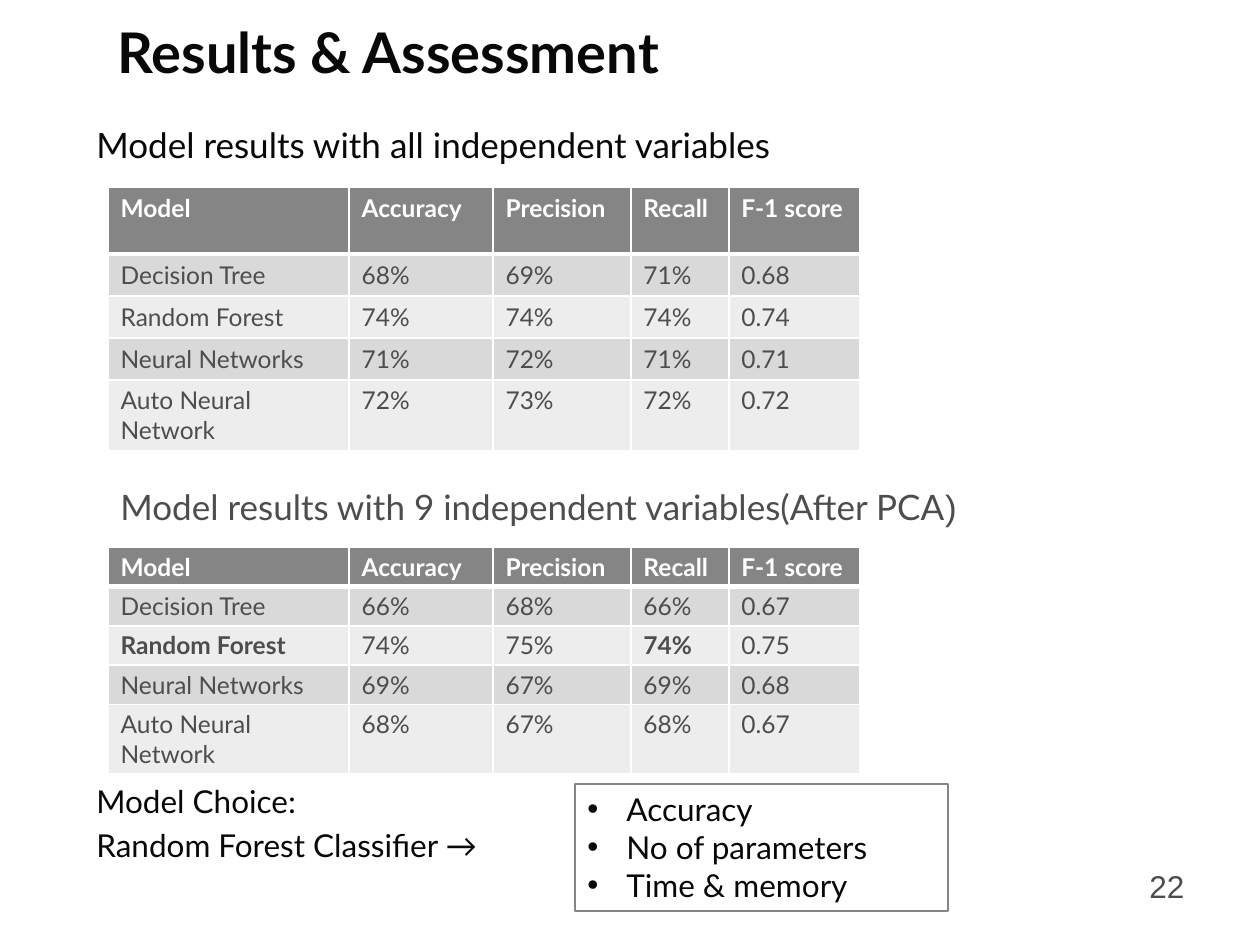
from dataclasses import dataclass
from typing import Optional

from lxml.etree import SubElement
from pptx import Presentation
from pptx.dml.color import RGBColor
from pptx.enum.shapes import MSO_SHAPE
from pptx.enum.text import MSO_ANCHOR, PP_ALIGN
from pptx.oxml.ns import qn
from pptx.util import Emu, Pt

PX_PER_INCH = 126
COLORS = {
    "ink": "080808",
    "body": "4D4D4D",
    "white": "FFFFFF",
    "header": "858585",
    "band_dark": "D9D9D9",
    "band_light": "EDEDED",
}
COLUMNS = (241, 144, 138, 98, 131)
HEADERS = ("Model", "Accuracy", "Precision", "Recall", "F-1 score")


@dataclass(frozen=True)
class Frame:
    left: int
    top: int
    width: int
    height: int


@dataclass(frozen=True)
class Span:
    text: str
    size: int
    color: str = "ink"
    font: str = "Lato"
    bold: bool = False


@dataclass(frozen=True)
class Label:
    frame: Frame
    lines: tuple[tuple[Span, ...], ...]
    anchor: MSO_ANCHOR = MSO_ANCHOR.TOP
    space_before: float = 0


@dataclass(frozen=True)
class ResultTable:
    top: int
    row_heights: tuple[int, ...]
    margin: int
    rows: tuple[tuple[str, ...], ...]
    bold_cells: tuple[tuple[int, int], ...] = ()


LABELS = (
    Label(Frame(105, 16, 1052, 71),
          ((Span("Results & Assessment", 32, bold=True),),), MSO_ANCHOR.MIDDLE),
    Label(Frame(84, 117, 804, 55),
          ((Span("Model results with all independent variables", 20),),)),
    Label(Frame(108, 479, 885, 55),
          ((Span("Model results with 9 independent variables(After PCA", 20, "body"),
            Span(")", 20, "body", "Arial")),)),
    Label(Frame(84, 776, 480, 135),
          ((Span("Model Choice:", 18),), (Span("Random Forest Classifier →", 18),)),
          space_before=3.6),
    Label(Frame(1137, 861, 60, 64), ((Span("22", 18, "body", "Arial"),),)),
)
TABLES = (
    ResultTable(187, (67, 42, 42, 42, 71), 6, (
        ("Decision Tree", "68%", "69%", "71%", "0.68"),
        ("Random Forest", "74%", "74%", "74%", "0.74"),
        ("Neural Networks", "71%", "72%", "71%", "0.71"),
        ("Auto Neural Network", "72%", "73%", "72%", "0.72"),
    )),
    ResultTable(547, (39, 39, 39, 39, 68), 5, (
        ("Decision Tree", "66%", "68%", "66%", "0.67"),
        ("Random Forest", "74%", "75%", "74%", "0.75"),
        ("Neural Networks", "69%", "67%", "69%", "0.68"),
        ("Auto Neural Network", "68%", "67%", "68%", "0.67"),
    ), bold_cells=((2, 0), (2, 3))),
)
CRITERIA = ("Accuracy", "No of parameters", "Time & memory")


def px(length: int) -> Emu:
    return Emu(round(length * 914400 / PX_PER_INCH))


def color(name: str) -> RGBColor:
    return RGBColor.from_string(COLORS[name])


def place(frame: Frame) -> tuple[Emu, Emu, Emu, Emu]:
    return px(frame.left), px(frame.top), px(frame.width), px(frame.height)


def add_span(para, span: Span) -> None:
    run = para.add_run()
    run.text = span.text
    run.font.name = span.font
    run.font.size = Pt(span.size)
    run.font.bold = span.bold
    run.font.color.rgb = color(span.color)


def next_para(text_frame, index: int):
    return text_frame.add_paragraph() if index else text_frame.paragraphs[0]


def draw_label(page, label: Label) -> None:
    text_frame = page.shapes.add_textbox(*place(label.frame)).text_frame
    text_frame.word_wrap = True
    text_frame.vertical_anchor = label.anchor
    for index, line in enumerate(label.lines):
        para = next_para(text_frame, index)
        if index and label.space_before:
            para.space_before = Pt(label.space_before)
        for span in line:
            add_span(para, span)


def set_border(cell, side: str, points: int) -> None:
    properties = cell._tc.get_or_add_tcPr()
    line = SubElement(properties, qn(f"a:{side}"), w=str(Pt(points)))
    fill = SubElement(line, qn("a:solidFill"))
    SubElement(fill, qn("a:srgbClr"), val=COLORS["white"])


def draw_cell(cell, row: int, span: Span, margin: int) -> None:
    cell.margin_top = cell.margin_bottom = px(margin)
    weights = {"lnL": 1, "lnR": 1, "lnT": 3 if row == 1 else 1, "lnB": 1 if row else 3}
    for side, points in weights.items():
        set_border(cell, side, points)
    cell.fill.solid()
    band = "band_dark" if row % 2 else "band_light"
    cell.fill.fore_color.rgb = color(band if row else "header")
    add_span(cell.text_frame.paragraphs[0], span)


def draw_table(page, results: ResultTable) -> None:
    frame = Frame(108, results.top, sum(COLUMNS), sum(results.row_heights))
    grid = page.shapes.add_table(len(results.row_heights), len(COLUMNS), *place(frame)).table
    for column, width in zip(grid.columns, COLUMNS):
        column.width = px(width)
    for row, height in zip(grid.rows, results.row_heights):
        row.height = px(height)
    for row, texts in enumerate((HEADERS, *results.rows)):
        for column, text in enumerate(texts):
            bold = row == 0 or (row, column) in results.bold_cells
            span = Span(text, 14, "body" if row else "white", bold=bold)
            draw_cell(grid.cell(row, column), row, span, results.margin)


def add_bullet(para, indent: int) -> None:
    properties = para._p.get_or_add_pPr()
    properties.set("marL", str(px(indent)))
    properties.set("indent", str(-px(indent)))
    SubElement(properties, qn("a:buFont"), typeface="Arial")
    SubElement(properties, qn("a:buChar"), char="•")


def draw_criteria(page, frame: Frame, criteria: tuple[str, ...]) -> None:
    box = page.shapes.add_shape(MSO_SHAPE.RECTANGLE, *place(frame))
    box.shadow.inherit = False
    box.fill.background()
    box.line.color.rgb = color("header")
    box.line.width = Pt(0.75)
    box.text_frame.word_wrap = True
    box.text_frame.vertical_anchor = MSO_ANCHOR.TOP
    for index, criterion in enumerate(criteria):
        para = next_para(box.text_frame, index)
        para.alignment = PP_ALIGN.LEFT
        add_bullet(para, 39)
        add_span(para, Span(criterion, 18))


def main() -> None:
    deck = Presentation()
    deck.slide_width, deck.slide_height = px(1260), px(945)
    page = deck.slides.add_slide(deck.slide_layouts[6])
    for label in LABELS:
        draw_label(page, label)
    for results in TABLES:
        draw_table(page, results)
    draw_criteria(page, Frame(575, 784, 373, 127), CRITERIA)
    deck.save("out.pptx")


if __name__ == "__main__":
    main()
